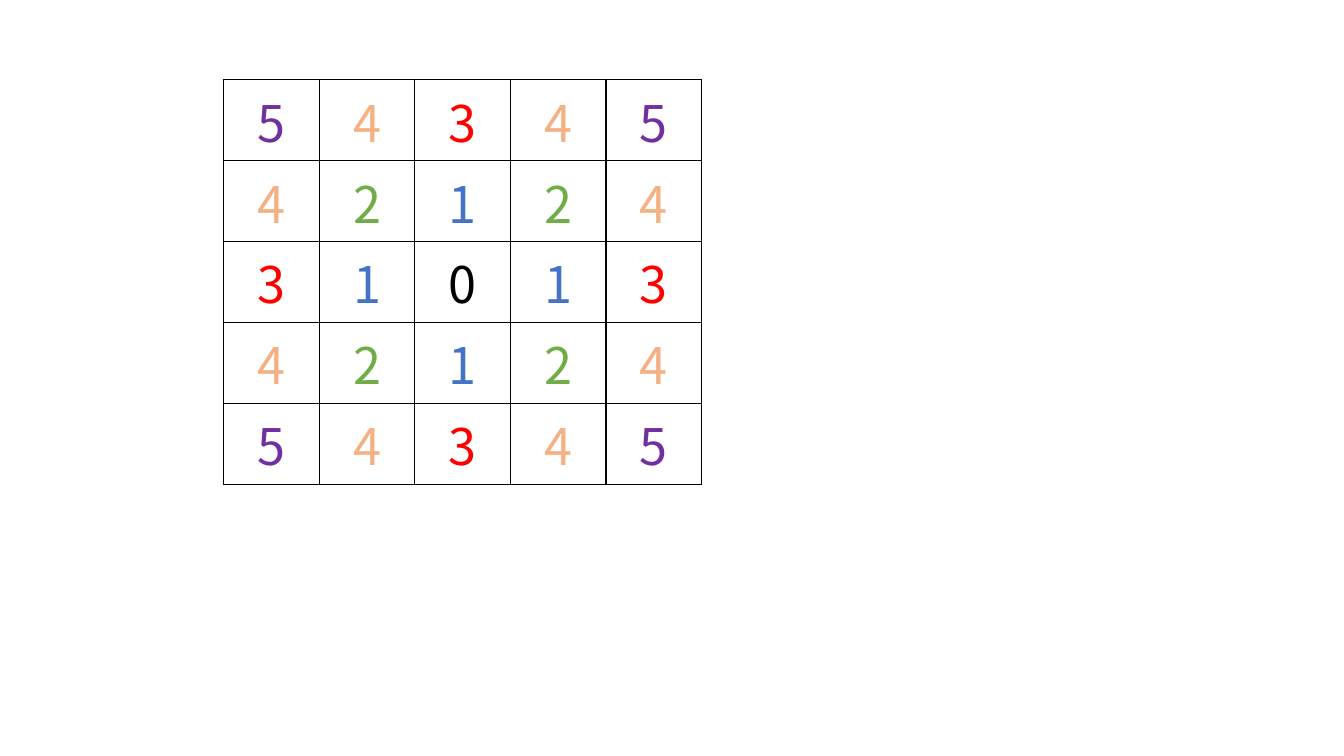
from dataclasses import dataclass, field

from lxml.etree import SubElement
from pptx import Presentation
from pptx.dml.color import RGBColor
from pptx.enum.text import PP_ALIGN
from pptx.oxml.ns import qn
from pptx.util import Inches, Pt


@dataclass(frozen=True)
class Theme:
    font: str = "Noto Sans CJK SC"
    digit_size: int = 36
    border: str = "000000"
    border_width: int = 1
    margin_x: float = 0.08
    margin_y: float = 0.04
    rank_colors: tuple = field(
        default=("000000", "4472C4", "70AD47", "FF0000", "F4B183", "7030A0")
    )


class SlideBuilder:
    """Draw elements on one slide, with lengths in percent of its size."""

    def __init__(self, deck, theme):
        self.deck = deck
        self.theme = theme
        self.slide = deck.slides.add_slide(deck.slide_layouts[6])

    def across(self, percent):
        return round(self.deck.slide_width * percent / 100)

    def down(self, percent):
        return round(self.deck.slide_height * percent / 100)

    def rank_table(self, ranks, left, top, width, height):
        frame = self.slide.shapes.add_table(
            len(ranks), len(ranks[0]),
            self.across(left), self.down(top),
            self.across(width), self.down(height),
        )
        table = frame.table
        table.first_row = table.horz_banding = False
        for row, row_ranks in enumerate(ranks):
            for column, rank in enumerate(row_ranks):
                self.rank_cell(table.cell(row, column), rank)

    def rank_cell(self, cell, rank):
        theme = self.theme
        cell.margin_left = cell.margin_right = Inches(theme.margin_x)
        cell.margin_top = cell.margin_bottom = Inches(theme.margin_y)
        cell.text = str(rank)
        digit = cell.text_frame.paragraphs[0]
        digit.alignment = PP_ALIGN.CENTER
        digit.font.name = theme.font
        digit.font.size = Pt(theme.digit_size)
        digit.font.color.rgb = RGBColor.from_string(theme.rank_colors[rank])
        self.cell_borders(cell)
        cell.fill.background()

    def cell_borders(self, cell):
        properties = cell._tc.get_or_add_tcPr()
        for side in ("a:lnL", "a:lnR", "a:lnT", "a:lnB"):
            border = SubElement(
                properties, qn(side), w=str(Pt(self.theme.border_width))
            )
            fill = SubElement(border, qn("a:solidFill"))
            SubElement(fill, qn("a:srgbClr"), val=self.theme.border)


def distance_ranks(radius):
    offsets = range(-radius, radius + 1)
    distances = [[x * x + y * y for x in offsets] for y in offsets]
    order = sorted(set(sum(distances, [])))
    return [[order.index(distance) for distance in row] for row in distances]


def main():
    deck = Presentation()
    deck.slide_width, deck.slide_height = Inches(13.33), Inches(7.5)
    builder = SlideBuilder(deck, Theme())
    builder.rank_table(
        distance_ranks(2), left=16.65, top=10.53, width=35.56, height=51.07
    )
    deck.save("out.pptx")


if __name__ == "__main__":
    main()
